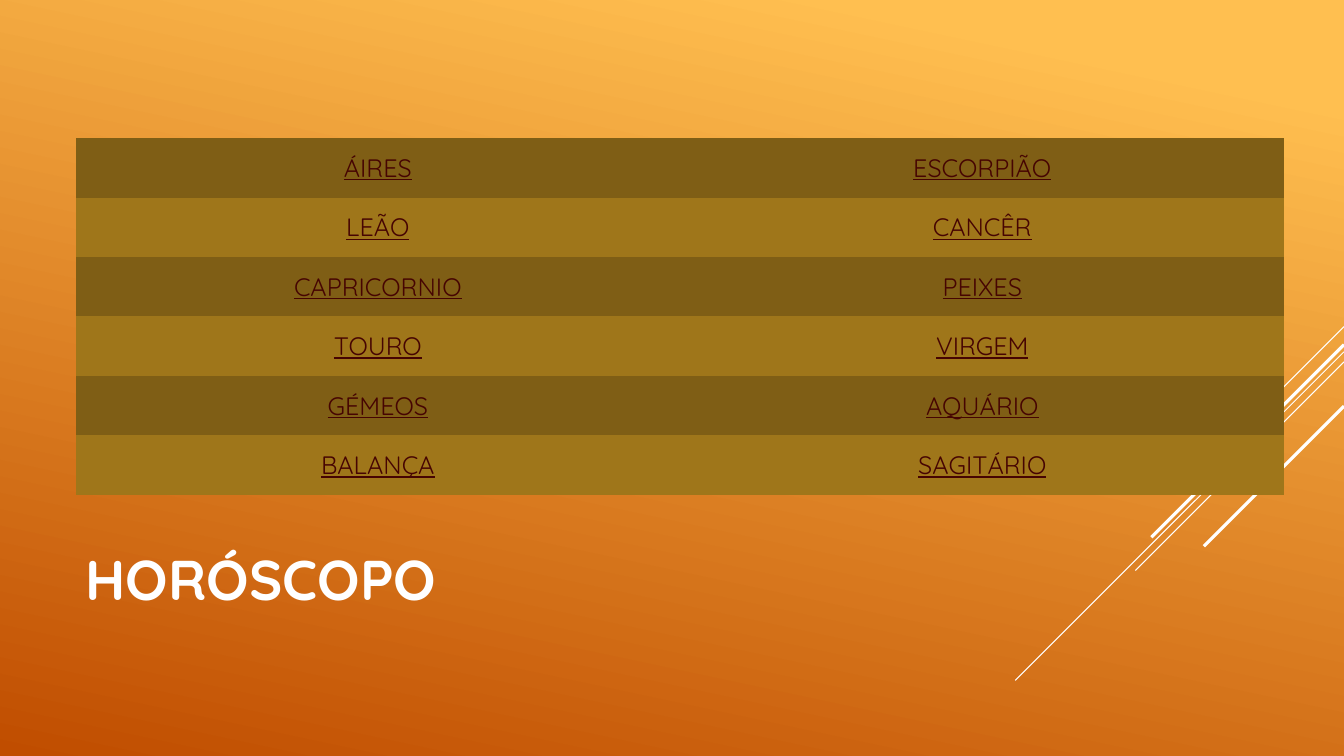
from dataclasses import dataclass

from pptx import Presentation
from pptx.dml.color import RGBColor as Color
from pptx.enum.shapes import MSO_CONNECTOR as Connector
from pptx.enum.text import MSO_ANCHOR as Anchor, PP_ALIGN as Align
from pptx.oxml.ns import qn
from pptx.oxml.xmlchemy import OxmlElement
from pptx.util import Inches, Pt


@dataclass(frozen=True)
class Theme:
    font: str = "Quicksand"
    title_size: int = 40
    sign_size: int = 18
    thin: float = 0.75
    thick: float = 2.25
    white: str = "FFFFFF"
    sign: str = "460402"
    bands: tuple = ("7F5E15", "9F761A")
    gradient: tuple = ((0.1, "FFBF50"), (1, "C04D00"))
    gradient_angle: int = 258


THEME = Theme()
PLAIN_TABLE = "{2D5ABB26-0587-4C30-8999-92F81FD0307C}"
SIGNS = [
    ("ÁIRES", "ESCORPIÃO"),
    ("LEÃO", "CANCÊR"),
    ("CAPRICORNIO", "PEIXES"),
    ("TOURO", "VIRGEM"),
    ("GÉMEOS", "AQUÁRIO"),
    ("BALANÇA", "SAGITÁRIO"),
]
RAYS = [
    (0, 1, THEME.thin),
    (0.25, 3.26, THEME.thin),
    (0.35, 2.07, THEME.thin),
    (0.18, 1.91, THEME.thick),
    (0.79, 1.39, THEME.thick),
]


def style_font(font, size, color):
    font.name = THEME.font
    font.size = Pt(size)
    font.color.rgb = Color.from_string(color)


def paint_background(slide):
    fill = slide.background.fill
    fill.gradient()
    fill.gradient_angle = THEME.gradient_angle
    for stop, (position, color) in zip(fill.gradient_stops, THEME.gradient):
        stop.position = position
        stop.color.rgb = Color.from_string(color)


def add_rays(slide, right, top):
    for drop, run, weight in RAYS:
        start = top + drop
        ray = slide.shapes.add_connector(
            Connector.STRAIGHT, Inches(right), Inches(start),
            Inches(right - run), Inches(start + run))
        ray.line.color.rgb = Color.from_string(THEME.white)
        ray.line.width = Pt(weight)
        ray.element.spPr.append(OxmlElement("a:effectLst"))


def add_title(slide, left, top, width, height):
    title = slide.shapes.add_textbox(
        Inches(left), Inches(top), Inches(width), Inches(height))
    frame = title.text_frame
    frame.word_wrap = True
    frame.vertical_anchor = Anchor.MIDDLE
    frame.text = "HORÓSCOPO"
    font = frame.paragraphs[0].runs[0].font
    style_font(font, THEME.title_size, THEME.white)
    font.bold = True


def add_sign_table(slide, left, top, width, height):
    shape = slide.shapes.add_table(
        len(SIGNS), len(SIGNS[0]),
        Inches(left), Inches(top), Inches(width), Inches(height))
    for style in shape.element.iter(qn("a:tableStyleId")):
        style.text = PLAIN_TABLE
    for row, signs in enumerate(SIGNS):
        for column, sign in enumerate(signs):
            cell = shape.table.cell(row, column)
            cell.fill.solid()
            cell.fill.fore_color.rgb = Color.from_string(THEME.bands[row % 2])
            cell.vertical_anchor = Anchor.MIDDLE
            cell.text = sign
            paragraph = cell.text_frame.paragraphs[0]
            paragraph.alignment = Align.CENTER
            font = paragraph.runs[0].font
            style_font(font, THEME.sign_size, THEME.sign)
            font.underline = True


def build_horoscope_slide(presentation):
    slide = presentation.slides.add_slide(presentation.slide_layouts[6])
    paint_background(slide)
    add_rays(slide, 13.33, 3.24)
    add_title(slide, 0.75, 4.91, 9.33, 1.65)
    add_sign_table(slide, 0.75, 1.37, 11.99, 3.54)


presentation = Presentation()
presentation.slide_width = Inches(13.33)
presentation.slide_height = Inches(7.5)
build_horoscope_slide(presentation)
presentation.save("out.pptx")
